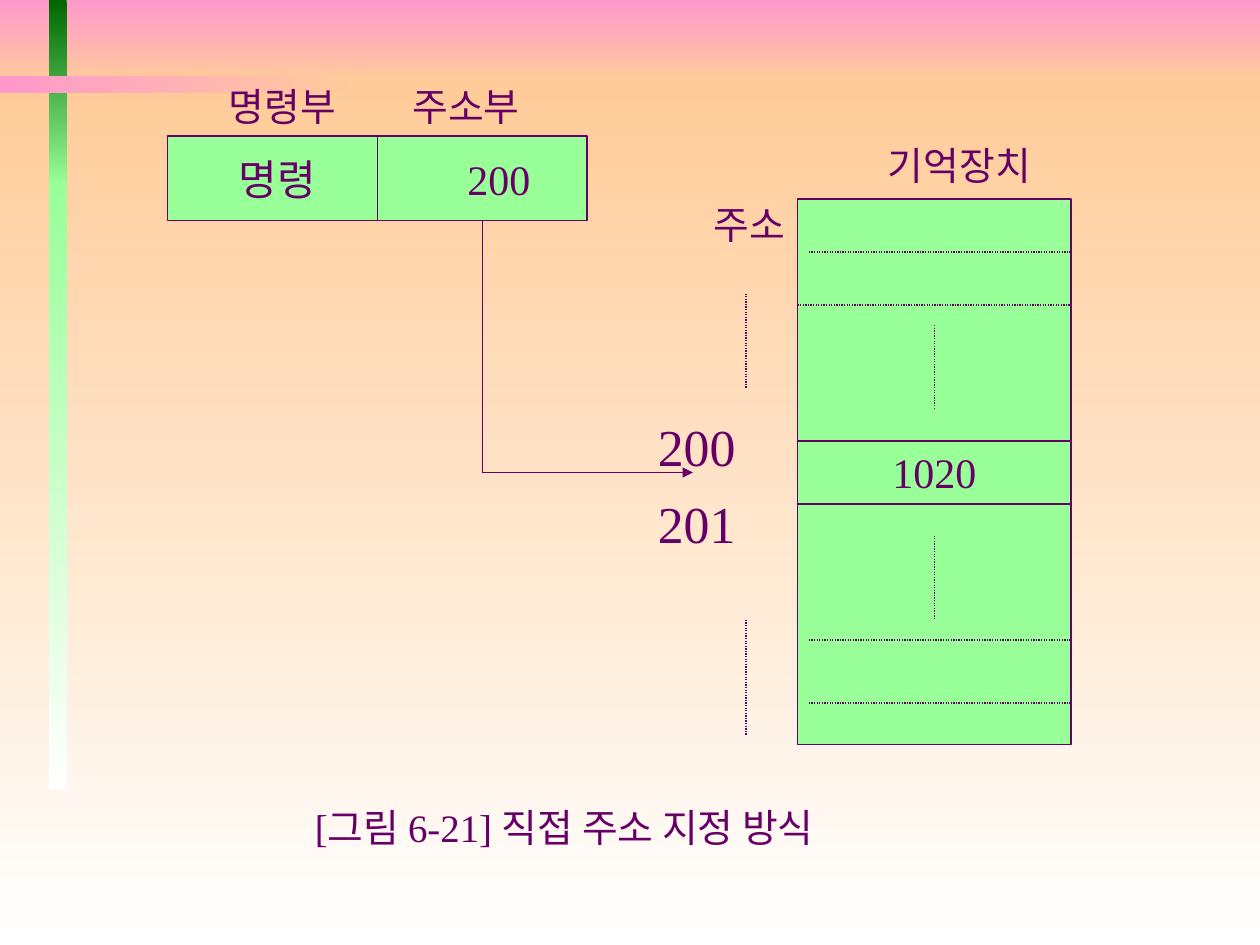
from dataclasses import dataclass

from lxml import etree
from pptx import Presentation
from pptx.dml.color import RGBColor
from pptx.enum import dml, shapes, text
from pptx.oxml import ns
from pptx.util import Inches, Pt


@dataclass(frozen=True)
class Theme:
    ink: str = "660066"
    cell: str = "99FF99"
    pink: str = "FF99CC"
    peach: str = "FFCC99"
    forest: str = "006600"
    white: str = "FFFFFF"
    font: str = "Times New Roman"
    label: float = 22.2
    value: float = 24
    address: float = 29.6
    line: float = 0.75


THEME = Theme()


def set_values(target, values):
    for name, value in values.items():
        setattr(target, name, value)


def add_band(page, box, first, last, angle):
    """Add a rectangle with a two-colour gradient; angle is counterclockwise."""
    band = page.shapes.add_shape(shapes.MSO_SHAPE.RECTANGLE, *map(Inches, box))
    band.shadow.inherit = False
    band.line.fill.background()
    band.fill.gradient()
    band.fill.gradient_angle = angle
    for stop, color in zip(band.fill.gradient_stops, (first, last)):
        stop.color.rgb = RGBColor.from_string(color)


def add_cell_box(page, box):
    cell = page.shapes.add_shape(shapes.MSO_SHAPE.RECTANGLE, *map(Inches, box))
    cell.shadow.inherit = False
    cell.fill.solid()
    cell.fill.fore_color.rgb = RGBColor.from_string(THEME.cell)
    cell.line.color.rgb = RGBColor.from_string(THEME.ink)
    cell.line.width = Pt(THEME.line)
    return cell


def add_line(page, start, end, dotted=False, arrow=False):
    line = page.shapes.add_connector(
        shapes.MSO_CONNECTOR.STRAIGHT, *map(Inches, (*start, *end)))
    line.line.color.rgb = RGBColor.from_string(THEME.ink)
    line.line.width = Pt(THEME.line)
    if dotted:
        line.line.dash_style = dml.MSO_LINE.ROUND_DOT
    if arrow:
        tail = etree.SubElement(line.line._get_or_add_ln(), ns.qn("a:tailEnd"))
        tail.set("type", "triangle")
    etree.SubElement(line._element.spPr, ns.qn("a:effectLst"))
    return line


def write(shape, words, size):
    """Write one centred line of text into a shape."""
    frame = shape.text_frame
    set_values(frame, {
        "word_wrap": False, "vertical_anchor": text.MSO_ANCHOR.MIDDLE,
        "margin_left": 0, "margin_right": 0, "margin_top": 0, "margin_bottom": 0})
    para = frame.paragraphs[0]
    para.alignment = text.PP_ALIGN.CENTER
    span = para.add_run()
    span.text = words
    set_values(span.font, {"name": THEME.font, "size": Pt(size)})
    span.font.color.rgb = RGBColor.from_string(THEME.ink)


def add_label(page, words, center, size=THEME.label, width=1.2):
    height = 0.5
    left, top = center[0] - width / 2, center[1] - height / 2
    label = page.shapes.add_textbox(*map(Inches, (left, top, width, height)))
    write(label, words, size)


def draw_backdrop(page, box):
    left, top, width, height = box
    header, joint = 0.67, 1.47
    bar_left, thick = left + 0.39, 0.14
    add_band(page, (left, top, width, header), THEME.pink, THEME.peach, 270)
    add_band(page, (left, top + header, width, height - header),
             THEME.peach, THEME.white, 270)
    add_band(page, (bar_left, top, thick, joint), THEME.forest, THEME.cell, 270)
    add_band(page, (bar_left, top + joint, thick, 4.8), THEME.cell, THEME.white, 270)
    add_band(page, (left, top + 0.6, 2.89, thick), THEME.pink, THEME.peach, 0)


def draw_instruction(page, box):
    """Draw the instruction word: operation field and address field."""
    left, top, width, height = box
    word = add_cell_box(page, box)
    middle = left + width / 2
    divider = add_line(page, (middle, top), (middle, top + height))
    divider.begin_connect(word, 0)
    divider.end_connect(word, 2)
    fields = (("명령부", 0.91, "명령", 0.87), ("주소부", 2.37, "200", 2.63))
    for heading, heading_x, value, value_x in fields:
        add_label(page, heading, (left + heading_x, top - 0.24))
        add_label(page, value, (left + value_x, top + height / 2), THEME.value)


def draw_memory(page, box):
    left, top, width, height = box
    right, center = left + width, left + width / 2
    memory = add_cell_box(page, box)
    write(memory, "1020", THEME.value)
    for offset, indent, dotted in (
            (0.42, 0.09, True), (0.84, 0, True), (1.92, 0, False),
            (2.42, 0, False), (3.5, 0.09, True), (4, 0.09, True)):
        add_line(page, (left + indent, top + offset), (right, top + offset), dotted)
    for offset in (1, 2.67):
        add_line(page, (center, top + offset), (center, top + offset + 0.67), True)
    add_label(page, "기억장치", (center + 0.2, top - 0.27))


def draw_addresses(page, box):
    """Draw the address column to the left of the memory."""
    left, top, width, height = box
    add_label(page, "주소", (left + 0.72, top + 0.2))
    for words, offset in (("200", 1.96), ("201", 2.57)):
        add_label(page, words, (left + 0.3, top + offset), THEME.address)
    for start, end in ((0.75, 1.5), (3.34, height)):
        add_line(page, (left + width, top + start), (left + width, top + end), True)


def draw_pointer(page, box):
    """Draw the path that leads from the address field to the memory cell."""
    left, top, width, height = box
    corner = (left, top + height)
    add_line(page, (left, top), corner)
    add_line(page, corner, (left + width, top + height), arrow=True)


def main():
    deck = Presentation()
    set_values(deck, {"slide_width": Inches(10), "slide_height": Inches(7.5)})
    page = deck.slides.add_slide(deck.slide_layouts[6])
    draw_backdrop(page, (0, 0, 10, 7.5))
    draw_instruction(page, (1.33, 1.08, 3.33, 0.67))
    draw_memory(page, (6.33, 1.58, 2.17, 4.33))
    draw_pointer(page, (3.83, 1.75, 1.67, 2))
    draw_addresses(page, (5.23, 1.58, 0.69, 4.25))
    add_label(page, "[그림 6-21] 직접 주소 지정 방식", (4.48, 6.56), width=5)
    deck.save("out.pptx")


if __name__ == "__main__":
    main()
